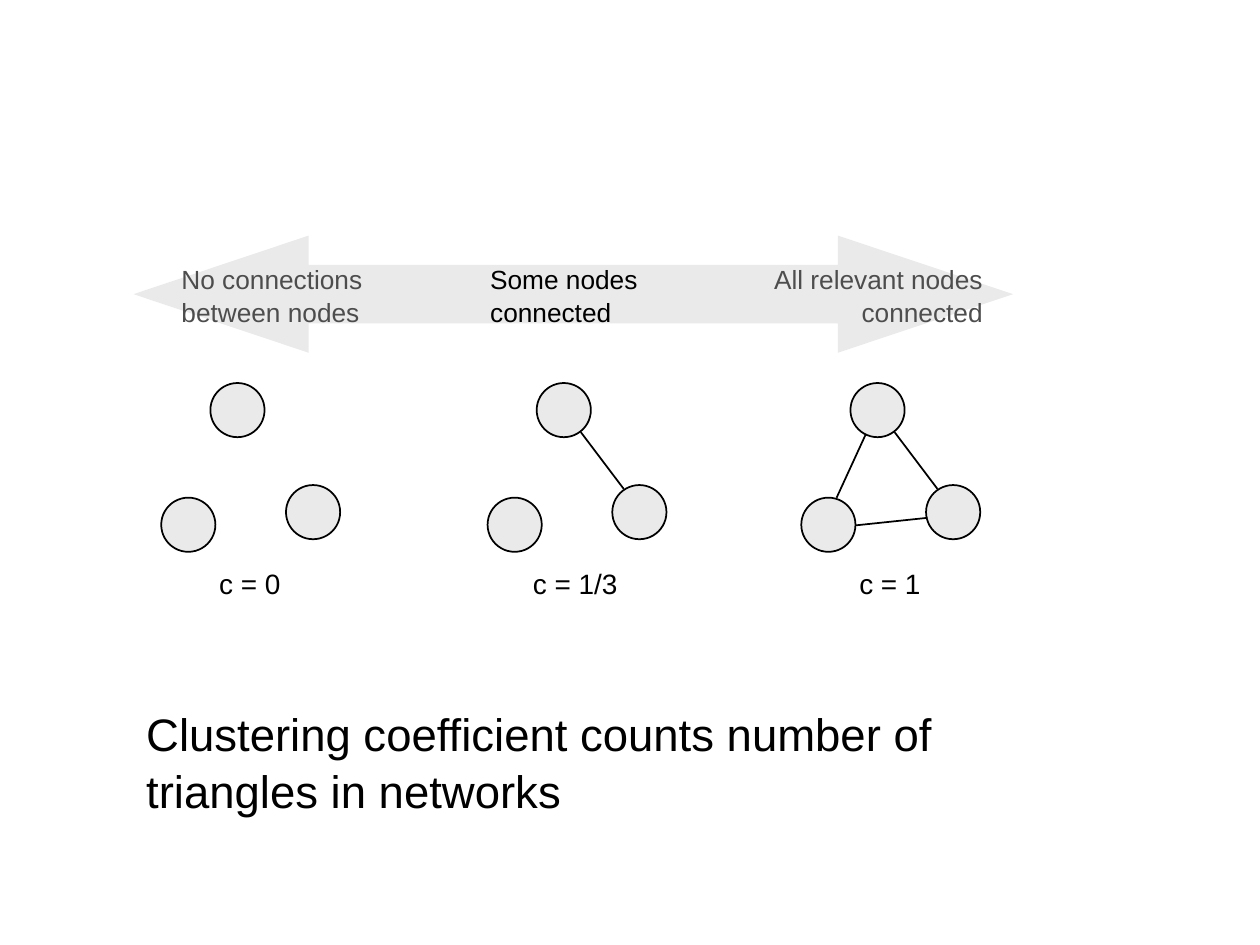
from lxml.etree import SubElement
from pptx import Presentation
from pptx.dml.color import RGBColor
from pptx.enum.shapes import MSO_CONNECTOR, MSO_SHAPE
from pptx.enum.text import MSO_ANCHOR, MSO_AUTO_SIZE, PP_ALIGN
from pptx.oxml.ns import qn
from pptx.util import Inches, Pt

BLACK, GREY, PALE = "000000", "4D4D4D", "EAEAEA"
NODE_SIZE = 0.43
NODES = [(0.39, 0), (0.99, 0.81), (0, 0.91)]
TOP_RIGHT = (1.08, 0.84, 0.74, 0.39)
LEFT_TOP = (0.28, 0.91, 0.51, 0.41)
LEFT_RIGHT = (0.43, 1.13, 1.0, 1.07)


def color(value):
    """Turn a hex string into a colour."""
    return RGBColor.from_string(value)


def write(shape, text, size, fill=BLACK, align=PP_ALIGN.LEFT, indent=0,
          wrap=True, margins=(0.07, 0.07)):
    """Fill a shape with formatted text, one paragraph per line."""
    frame = shape.text_frame
    frame.text = text
    frame.word_wrap = wrap
    frame.auto_size = MSO_AUTO_SIZE.NONE
    frame.vertical_anchor = MSO_ANCHOR.TOP
    frame.margin_left = frame.margin_right = Inches(margins[0])
    frame.margin_top = frame.margin_bottom = Inches(margins[1])
    for para in frame.paragraphs:
        if indent:
            properties = para._p.get_or_add_pPr()
            properties.set("marL", str(Inches(indent)))
            properties.set("indent", "0")
        para.alignment = align
        para.line_spacing = 1.05
        para.space_before = Pt(0)
        for span in para.runs:
            span.font.name = "Arial"
            span.font.size = Pt(size)
            span.font.color.rgb = color(fill)


def add_label(page, box, text, size, **options):
    """Add a text box at the given box."""
    label = page.shapes.add_textbox(*map(Inches, box))
    write(label, text, size, **options)


def add_scale_arrow(page, box):
    """Draw the double-headed arrow that fills the box."""
    left, top, width, height = box
    right, bottom, middle = left + width, top + height, top + height / 2
    head, shaft = 1.39, height / 4
    points = [
        (left, middle), (left + head, top), (left + head, middle - shaft),
        (right - head, middle - shaft), (right - head, top), (right, middle),
        (right - head, bottom), (right - head, middle + shaft),
        (left + head, middle + shaft), (left + head, bottom),
    ]
    corners = [(Inches(x), Inches(y)) for x, y in points]
    builder = page.shapes.build_freeform(*corners[0], scale=1.0)
    builder.add_line_segments(corners[1:], close=True)
    arrow = builder.convert_to_shape()
    arrow.shadow.inherit = False
    arrow.fill.solid()
    arrow.fill.fore_color.rgb = color(PALE)
    arrow.line.fill.background()


def add_network(page, left, top, edges, caption, caption_box):
    """Draw three nodes, the edges between them and a caption below."""
    for x, y in NODES:
        node = page.shapes.add_shape(
            MSO_SHAPE.OVAL, Inches(left + x), Inches(top + y),
            Inches(NODE_SIZE), Inches(NODE_SIZE))
        node.shadow.inherit = False
        node.fill.solid()
        node.fill.fore_color.rgb = color(PALE)
        node.line.color.rgb = color(BLACK)
        node.line.width = Pt(1)
    for x1, y1, x2, y2 in edges:
        edge = page.shapes.add_connector(
            MSO_CONNECTOR.STRAIGHT, Inches(left + x1), Inches(top + y1),
            Inches(left + x2), Inches(top + y2))
        edge.line.color.rgb = color(BLACK)
        edge.line.width = Pt(1)
        SubElement(edge._element.spPr, qn("a:effectLst"))
    offset, width = caption_box
    add_label(page, (left + offset, top + 1.37, width, 0.42), caption, 16,
              wrap=False)


def add_title(page, box, text):
    """Place and format the title placeholder."""
    title = page.shapes.title
    title.left, title.top, title.width, title.height = map(Inches, box)
    write(title, text, 26, margins=(0.09, 0.04))


def main():
    """Build the slide and save it."""
    deck = Presentation()
    deck.slide_width, deck.slide_height = Inches(10), Inches(7.5)
    page = deck.slides.add_slide(deck.slide_layouts[5])
    add_title(page, (1.07, 5.54, 7.68, 0.97),
              "Clustering coefficient counts number of triangles in networks")
    add_scale_arrow(page, (1.06, 1.87, 6.98, 0.93))
    add_label(page, (1.19, 2.01, 2, 0.63), "No connections\nbetween nodes", 15,
              fill=GREY, indent=0.18)
    add_label(page, (3.82, 2.01, 1.51, 0.63), "Some nodes connected", 15)
    add_label(page, (5.87, 2.01, 2, 0.63), "All relevant nodes connected", 15,
              fill=GREY, indent=0.18, align=PP_ALIGN.RIGHT)
    networks = [
        (1.28, [], "c = 0", (0.39, 0.64)),
        (3.87, [TOP_RIGHT], "c = 1/3", (0.29, 0.83)),
        (6.36, [TOP_RIGHT, LEFT_TOP, LEFT_RIGHT], "c = 1", (0.39, 0.64)),
    ]
    for left, edges, caption, caption_box in networks:
        add_network(page, left, 3.04, edges, caption, caption_box)
    deck.save("out.pptx")


if __name__ == "__main__":
    main()
